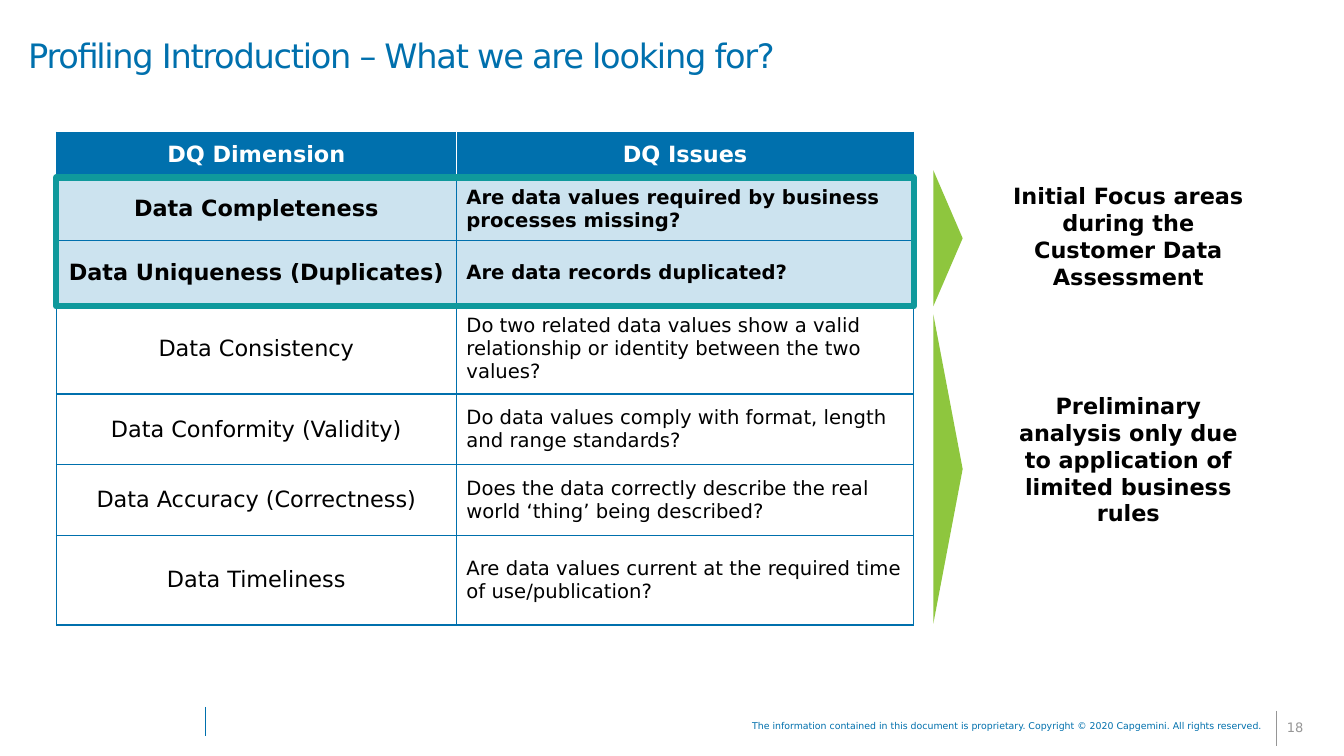
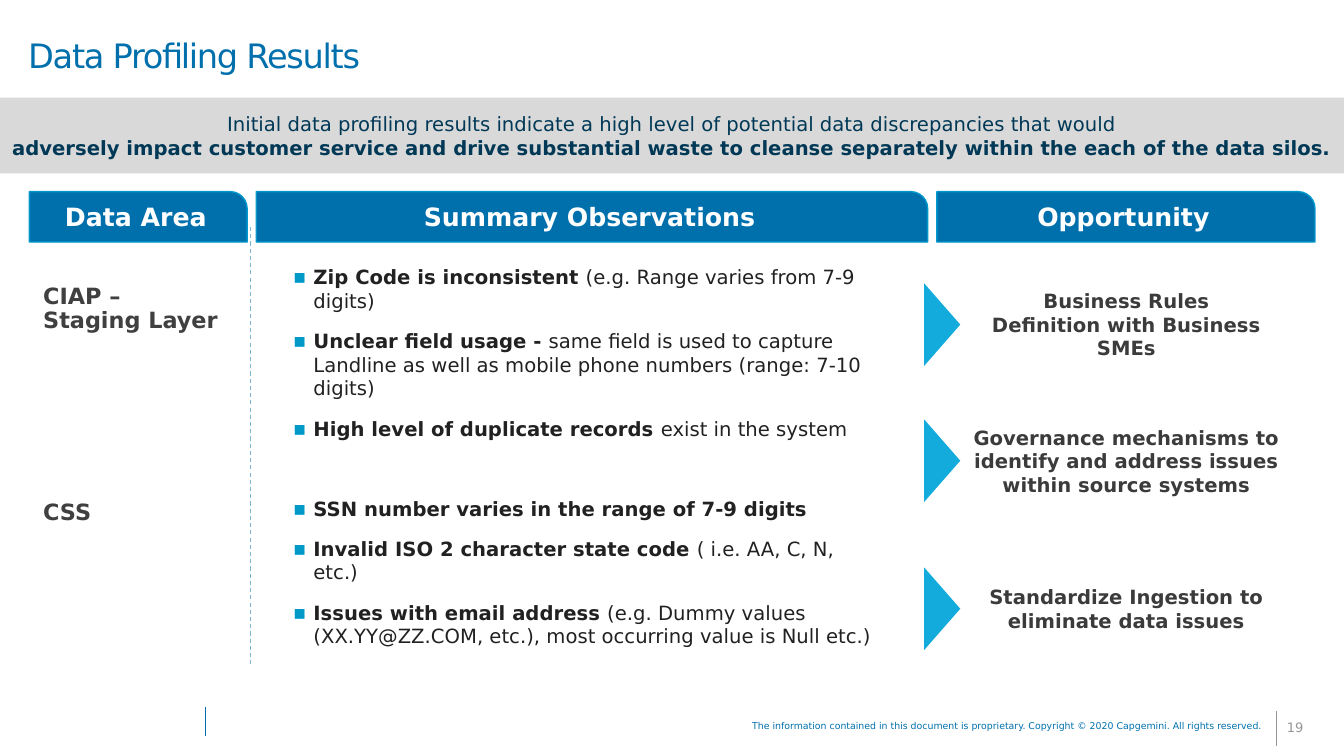
from dataclasses import dataclass, field
from typing import Any, NamedTuple

from lxml import etree
from pptx import Presentation
from pptx import util as u
from pptx.dml import color as dml
from pptx.enum import dml as lines, shapes, text
from pptx.oxml import ns

FONT = "DejaVu Sans"
COLORS = {
    "blue": "0070AD", "sky": "0098CC", "cyan": "12ABDB", "bullet": "0098C7",
    "teal": "0F999C", "green": "8EC63E", "pale": "CCE3EF", "dash": "7BB5D3",
    "navy": "003856", "black": "000000", "ink": "212121", "slate": "3B3B3B",
    "charcoal": "404040", "gray": "969696", "band": "D9D9D9", "white": "FFFFFF",
}
WIDTH, HEIGHT = 33.87, 19.05
CENTER, RIGHT = text.PP_ALIGN.CENTER, text.PP_ALIGN.RIGHT
MIDDLE, TOP = text.MSO_ANCHOR.MIDDLE, text.MSO_ANCHOR.TOP
COPYRIGHT = ("The information contained in this document\u00a0is proprietary. "
             "Copyright © 2020 Capgemini. All rights reserved.").replace("\u00a0", " ")


class Area(NamedTuple):
    left: float
    top: float
    width: float
    height: float

    def lengths(self) -> list[u.Length]:
        return [u.Cm(value) for value in self]


class Span(NamedTuple):
    text: str
    bold: bool = False


class Style(NamedTuple):
    size: float
    color: str
    tracking: int = 0


@dataclass
class Para:
    spans: list[Span]
    format: dict[str, Any] = field(default_factory=dict)
    bullet: bool = False


class Dimension(NamedTuple):
    name: str
    issue: str
    height: float
    focus: bool = False


class Heading(NamedTuple):
    label: str
    width: float


class Opportunity(NamedTuple):
    middle: float
    rows: list[str]


DIMENSIONS = [
    Dimension("Data Completeness",
              "Are data values required by business processes missing?", 1.6, True),
    Dimension("Data Uniqueness (Duplicates)", "Are data records duplicated?", 1.6, True),
    Dimension("Data Consistency", "Do two related data values show a valid relationship "
              "or identity between the two values?", 2.26),
    Dimension("Data Conformity (Validity)",
              "Do data values comply with format, length and range standards?", 1.78),
    Dimension("Data Accuracy (Correctness)",
              "Does the data correctly describe the real world ‘thing’ being described?", 1.78),
    Dimension("Data Timeliness",
              "Are data values current at the required time of use/publication?", 2.26),
]
HEADINGS = [Heading("Data Area", 5.49), Heading("Summary Observations", 16.92),
            Heading("Opportunity", 9.53)]
OBSERVATIONS = [
    ("Zip Code is inconsistent ", "(e.g. Range varies from 7-9 digits)", 12),
    ("Unclear field usage - ", "same field is used to capture Landline as well as "
     "mobile phone numbers (range: 7-10 digits)", 12),
    ("High level of duplicate records ", "exist in the system", 40.3),
    ("SSN number varies in the range of 7-9 digits", "", 12),
    ("Invalid ISO 2 character state code ", "( i.e. AA, C, N, etc.)", 12),
    ("Issues with email address ", "(e.g. Dummy values (XX.YY@ZZ.COM, etc.), "
     "most occurring value is Null etc.)", 12),
]
OPPORTUNITIES = [
    Opportunity(8.18, ["Business Rules", "Definition with Business", "SMEs"]),
    Opportunity(11.61, ["Governance mechanisms to identify and address issues "
                        "within source systems"]),
    Opportunity(15.34, ["Standardize Ingestion to eliminate data issues"]),
]


def rgb(name: str) -> dml.RGBColor:
    return dml.RGBColor.from_string(COLORS[name])


def set_all(target: Any, values: dict[str, Any]) -> None:
    for name, value in values.items():
        setattr(target, name, value)


def add_bullet(para: Any) -> None:
    properties = para._p.get_or_add_pPr()
    set_indent = {"marL": u.Cm(0.51), "indent": -u.Cm(0.51)}
    for name, value in set_indent.items():
        properties.set(name, str(value))
    tint = etree.SubElement(properties, ns.qn("a:buClr"))
    etree.SubElement(tint, ns.qn("a:srgbClr"), val=COLORS["bullet"])
    etree.SubElement(properties, ns.qn("a:buFont"), typeface=FONT)
    etree.SubElement(properties, ns.qn("a:buChar"), char="▪")


def write(frame: Any, paras: list[Para], style: Style) -> None:
    for index, item in enumerate(paras):
        para = frame.add_paragraph() if index else frame.paragraphs[0]
        if item.bullet:
            add_bullet(para)
        set_all(para, item.format)
        for part in item.spans:
            span = para.add_run()
            span.text = part.text
            set_all(span.font, {"name": FONT, "size": u.Pt(style.size), "bold": part.bold})
            span.font.color.rgb = rgb(style.color)
            if style.tracking:
                span._r.get_or_add_rPr().set("spc", str(style.tracking))


def add_text(page: Any, area: Area, paras: list[Para], style: Style, anchor: Any = TOP,
             insets: tuple[float, ...] = (0.25, 0.13, 0.25, 0.13)) -> None:
    frame = page.shapes.add_textbox(*area.lengths()).text_frame
    sides = ("margin_left", "margin_top", "margin_right", "margin_bottom")
    set_all(frame, dict(zip(sides, map(u.Cm, insets))))
    set_all(frame, {"word_wrap": True, "vertical_anchor": anchor})
    write(frame, paras, style)


def add_box(page: Any, kind: Any, area: Area, fill: str = "", line: str = "",
            weight: float = 1) -> Any:
    box = page.shapes.add_shape(kind, *area.lengths())
    box.shadow.inherit = False
    if fill:
        box.fill.solid()
        box.fill.fore_color.rgb = rgb(fill)
    else:
        box.fill.background()
    if line:
        box.line.color.rgb = rgb(line)
        box.line.width = u.Pt(weight)
    else:
        box.line.fill.background()
    return box


def add_pointer(page: Any, area: Area, fill: str) -> None:
    shift = (area.width - area.height) / 2
    upright = Area(area.left + shift, area.top - shift, area.height, area.width)
    add_box(page, shapes.MSO_SHAPE.ISOSCELES_TRIANGLE, upright, fill).rotation = 90


def add_rule(page: Any, left: float, top: float, bottom: float, tint: str,
             dashed: bool = False) -> None:
    rule = page.shapes.add_connector(shapes.MSO_CONNECTOR.STRAIGHT,
                                     *map(u.Cm, (left, top, left, bottom)))
    rule.line.color.rgb = rgb(tint)
    rule.line.width = u.Pt(0.75)
    if dashed:
        rule.line.dash_style = lines.MSO_LINE.DASH
    etree.SubElement(rule._element.spPr, ns.qn("a:effectLst"))


def add_page(deck: Any, title: str, number: int) -> Any:
    page = deck.slides.add_slide(deck.slide_layouts[6])
    tight = {"line_spacing": 0.85}
    add_rule(page, 32.18, 17.91, 18.8, "gray")
    add_text(page, Area(32.18, 17.91, 1.68, 0.89), [Para([Span(str(number))], tight)],
             Style(9.3, "gray"), MIDDLE)
    add_text(page, Area(15.21, 18.08, 16.87, 0.51),
             [Para([Span(COPYRIGHT)], {**tight, "alignment": RIGHT})], Style(6.7, "blue"))
    add_rule(page, 5.18, 17.81, 18.54, "blue")
    add_text(page, Area(0, 0, WIDTH, 2.95), [Para([Span(title)], tight)],
             Style(24, "blue", -90), MIDDLE, (0.71, 0.08, 0.38, 0.08))
    return page


def format_cell(cell: Any, para: Para, style: Style, fill: str,
                edges: dict[str, str]) -> None:
    cell.vertical_anchor = MIDDLE
    cell.fill.solid()
    cell.fill.fore_color.rgb = rgb(fill)
    write(cell.text_frame, [para], style)
    properties = cell._tc.get_or_add_tcPr()
    for index, side in enumerate(("lnL", "lnR", "lnT", "lnB")):
        edge = etree.Element(ns.qn(f"a:{side}"), w=str(u.Pt(1)))
        solid = etree.SubElement(edge, ns.qn("a:solidFill"))
        etree.SubElement(solid, ns.qn("a:srgbClr"), val=COLORS[edges.get(side, "blue")])
        properties.insert(index, edge)


def add_dimension_table(page: Any, area: Area, columns: list[float]) -> None:
    table = page.shapes.add_table(len(DIMENSIONS) + 1, 2, *area.lengths()).table
    set_all(table, {"first_row": False, "horz_banding": False})
    for column, width in zip(table.columns, columns):
        column.width = u.Cm(width)
    for row, height in zip(table.rows, [1.14] + [item.height for item in DIMENSIONS]):
        row.height = u.Cm(height)
    centered = {"alignment": CENTER}
    for index, (label, side) in enumerate((("DQ Dimension", "lnR"), ("DQ Issues", "lnL"))):
        format_cell(table.cell(0, index), Para([Span(label, True)], centered),
                    Style(16, "white"), "blue", {side: "white"})
    for index, item in enumerate(DIMENSIONS, 1):
        fill = "pale" if item.focus else "white"
        format_cell(table.cell(index, 0), Para([Span(item.name, item.focus)], centered),
                    Style(16, "black"), fill, {})
        format_cell(table.cell(index, 1), Para([Span(item.issue, item.focus)]),
                    Style(14, "black"), fill, {})


def build_introduction(deck: Any) -> None:
    page = add_page(deck, "Profiling Introduction – What we are looking for?", 18)
    columns = [10.08, 11.53]
    height = 1.14 + sum(item.height for item in DIMENSIONS)
    add_dimension_table(page, Area(1.42, 3.33, sum(columns), height), columns)
    add_box(page, shapes.MSO_SHAPE.RECTANGLE, Area(1.42, 4.47, sum(columns), 3.25),
            line="teal", weight=4.5)
    notes = [
        (4.29, 3.43, 4.47, 3.0, "Initial Focus areas during the Customer Data Assessment"),
        (7.92, 7.8, 9.75, 3.68,
         "Preliminary analysis only due to application of limited business rules"),
    ]
    for top, length, note_top, note_height, note in notes:
        add_pointer(page, Area(23.52, top, 0.74, length), "green")
        add_text(page, Area(25.12, note_top, 6.63, note_height),
                 [Para([Span(note, True)], {"alignment": CENTER})], Style(16, "black"))


def build_results(deck: Any) -> None:
    page = add_page(deck, "Data Profiling Results", 19)
    centered = {"alignment": CENTER}
    flush = (0, 0, 0, 0)
    observations = [
        Para([Span(lead, True)] + ([Span(detail)] if detail else []),
             {"space_after": u.Pt(after)}, True)
        for lead, detail, after in OBSERVATIONS
    ]
    add_text(page, Area(7.39, 6.63, 14.83, 9.75), observations, Style(14, "ink"),
             MIDDLE, flush)
    areas = [("CIAP –", 0), ("Staging Layer", 0), ("CSS", 120)]
    add_text(page, Area(0.94, 8.18, 5.08, 4.06),
             [Para([Span(name, True)], {"line_spacing": 0.9, "space_before": u.Pt(before)})
              for name, before in areas],
             Style(16, "charcoal"), MIDDLE, (0.15, 0.08, 0.15, 0.08))
    left = 0.74
    for heading in HEADINGS:
        box = add_box(page, shapes.MSO_SHAPE.ROUND_1_RECTANGLE,
                      Area(left, 4.83, heading.width, 1.27), "blue", "sky")
        box.adjustments[0] = 0.335
        box.text_frame.vertical_anchor = MIDDLE
        write(box.text_frame, [Para([Span(heading.label, True)], centered)],
              Style(18, "white"))
        left += heading.width + 0.23
    for item in OPPORTUNITIES:
        add_pointer(page, Area(23.29, item.middle - 1.04, 0.91, 2.08), "cyan")
        add_text(page, Area(24.23, item.middle - 0.9, 8.31, 1.8),
                 [Para([Span(row, True)], centered) for row in item.rows],
                 Style(14, "slate"), MIDDLE, flush)
    add_rule(page, 6.32, 5.72, 16.79, "dash", True)
    band = add_box(page, shapes.MSO_SHAPE.RECTANGLE, Area(0, 2.46, WIDTH, 1.91), "band")
    band.text_frame.vertical_anchor = MIDDLE
    message = [
        Span("Initial data profiling results indicate a high level of potential data "
             "discrepancies that would"),
        Span("adversely impact customer service and drive substantial waste to cleanse "
             "separately within the each of the data silos.", True),
    ]
    write(band.text_frame, [Para([span], centered) for span in message], Style(14, "navy"))


def main() -> None:
    deck = Presentation()
    set_all(deck, {"slide_width": u.Cm(WIDTH), "slide_height": u.Cm(HEIGHT)})
    build_introduction(deck)
    build_results(deck)
    deck.save("out.pptx")


if __name__ == "__main__":
    main()
